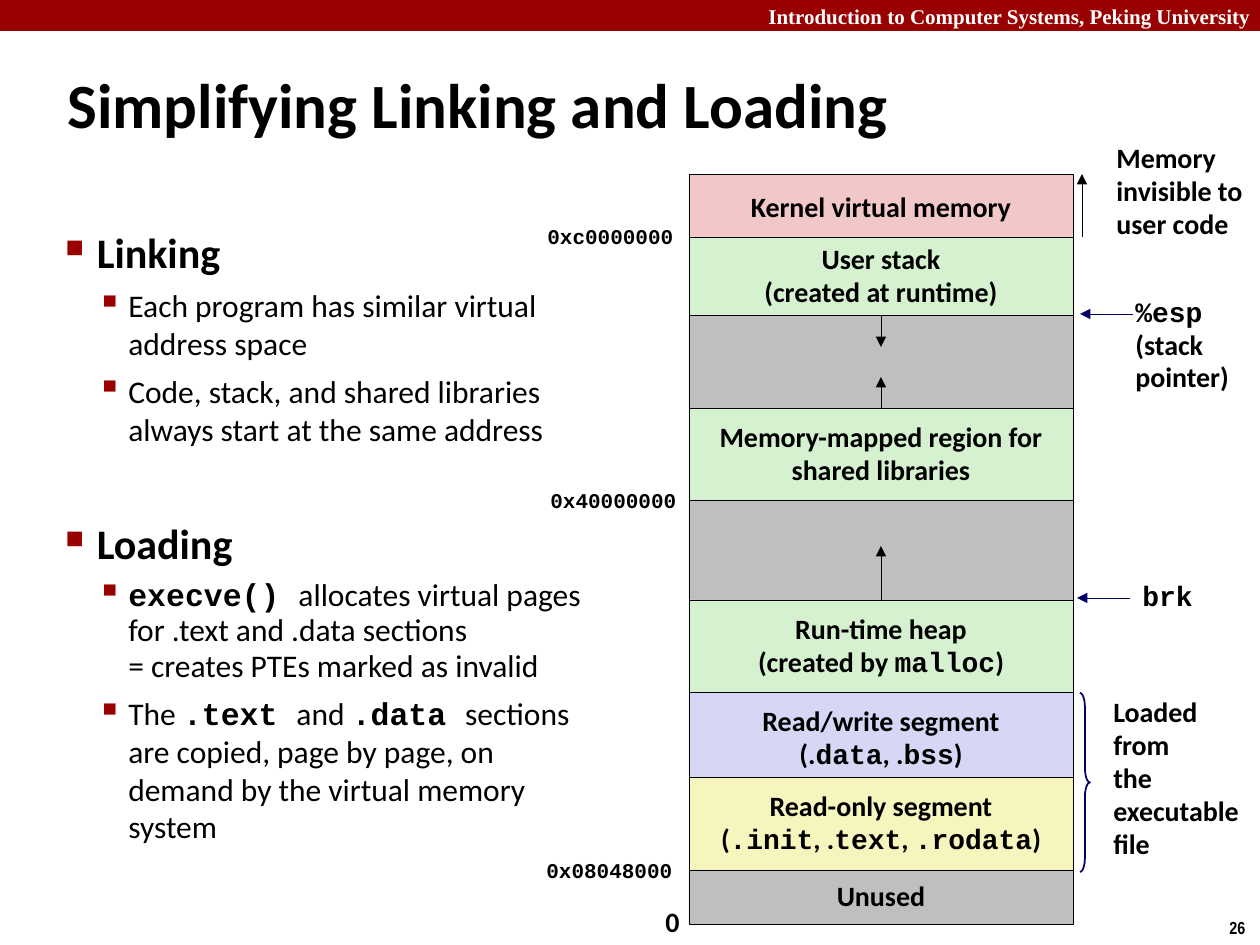
"""Build the slide on simplified linking and loading with a process memory map."""
from dataclasses import dataclass

from lxml import etree
from pptx import Presentation
from pptx.dml.color import RGBColor
from pptx.enum.shapes import MSO_CONNECTOR, MSO_SHAPE
from pptx.enum.text import MSO_ANCHOR, MSO_AUTO_SIZE, PP_ALIGN
from pptx.oxml.ns import qn
from pptx.util import Emu, Pt

RECT, BRACE = MSO_SHAPE.RECTANGLE, MSO_SHAPE.RIGHT_BRACE
STRAIGHT = MSO_CONNECTOR.STRAIGHT
TOP, MIDDLE = MSO_ANCHOR.TOP, MSO_ANCHOR.MIDDLE
LEFT, CENTER = PP_ALIGN.LEFT, PP_ALIGN.CENTER
FIT = MSO_AUTO_SIZE.SHAPE_TO_FIT_TEXT
SIDE_TOP, SIDE_BOTTOM = 0, 2
PX = 914400 // 126


@dataclass(frozen=True)
class Theme:
    """Colours, fonts and type sizes."""
    black: str = "000000"
    white: str = "FFFFFF"
    red: str = "990000"
    navy: str = "000066"
    pink: str = "F1C7C7"
    green: str = "D5F1CF"
    grey: str = "BFBFBF"
    blue: str = "D6D6F5"
    yellow: str = "F6F5BD"
    sans: str = "Calibri"
    mono: str = "Courier New"
    serif: str = "Times New Roman"
    narrow: str = "Arial Narrow"
    title: int = 36
    heading: int = 24
    body: int = 18
    label: int = 16
    small: int = 12
    number: int = 10
    tight: float = 0.98
    mono_tight: float = 0.94


T = Theme()

HEADER = "Introduction to Computer Systems, Peking University"
TITLE = "Simplifying Linking and Loading"
BODY = [
    (0, 0, "Linking"),
    (1, 5.6, "Each program has similar virtual address space"),
    (1, 5.6, "Code, stack, and shared libraries always start at the same address"),
    (0, 40, "Loading"),
    (1, 5.6, "`execve() `allocates virtual pages for .text and .data sections"
             "\v= creates PTEs marked as invalid"),
    (1, 5.6, "The `.text `and `.data `sections are copied, page by page, "
             "on demand by the virtual memory system"),
]
BULLETS = [("■", 60), ("▪", 110)]

MAP_LEFT, MAP_WIDTH = 689, 384
REGIONS = [
    ("kernel", 174, 67, T.pink, ["Kernel virtual memory"]),
    ("stack", 237, 78, T.green, ["User stack", "(created at runtime)"]),
    ("stack gap", 315, 93, T.grey, []),
    ("shared", 408, 92, T.green, ["Memory-mapped region for", "shared libraries"]),
    ("heap gap", 500, 100, T.grey, []),
    ("heap", 600, 92, T.green, ["Run-time heap", "(created by `malloc`)"]),
    ("data", 692, 92, T.blue, ["Read/write segment", "(.`data`, .`bss`)"]),
    ("code", 777, 93, T.yellow,
     ["Read-only segment", "(`.init`, .`text`, `.rodata`)"]),
    ("unused", 870, 54, T.grey, ["Unused"]),
]
GROWTH = [("stack", SIDE_BOTTOM, 32), ("shared", SIDE_TOP, -31), ("heap", SIDE_TOP, -54)]
POINTERS = [
    (1082, 237, 1082, 174, T.black),
    (1133, 314, 1080, 314, T.navy),
    (1130, 598, 1077, 598, T.navy),
]
LABELS = [
    (653, 900, 39, 47, T.label, ["0"]),
    (1123, 291, 120, 111, T.label, ["`%esp`", "(stack", "pointer)"]),
    (1104, 136, 159, 112, T.label, ["Memory", "invisible to", "user code"]),
    (1130, 575, 76, 45, T.label, ["`brk`"]),
    (1101, 690, 152, 179, T.label, ["Loaded", "from", "the", "executable", "file"]),
    (535, 219, 154, 37, T.small, ["`0xc0000000`"]),
    (538, 483, 154, 37, T.small, ["`0x40000000`"]),
    (534, 853, 154, 37, T.small, ["`0x08048000`"]),
]


def px(*values):
    return [Emu(v * PX) for v in values]


def rgb(color):
    return RGBColor.from_string(color)


def write(p, text, size=T.label, font=T.sans, color=T.black, bold=True,
          align=LEFT, spacing=1.0, before=0):
    """Fill a paragraph; parts between backticks are bold monospace."""
    p.alignment = align
    p.line_spacing = T.mono_tight if text.startswith("`") else spacing
    p.space_before = Pt(before)
    for i, part in enumerate(text.split("`")):
        mono = i % 2 == 1
        for j, piece in enumerate(part.split("\v")):
            if j:
                p.add_line_break()
            if piece:
                r = p.add_run()
                r.text = piece
                r.font.name = T.mono if mono else font
                r.font.size = Pt(size)
                r.font.bold = mono or bold
                r.font.color.rgb = rgb(color)


def write_lines(tf, lines, **fmt):
    for i, line in enumerate(lines):
        write(tf.add_paragraph() if i else tf.paragraphs[0], line, **fmt)


def add_box(s, box, wrap=True, anchor=TOP):
    sp = s.shapes.add_textbox(*px(*box))
    tf = sp.text_frame
    tf.word_wrap = wrap
    tf.auto_size = MSO_AUTO_SIZE.NONE if wrap else FIT
    tf.vertical_anchor = anchor
    return tf


def add_shape(s, kind, box, fill=None, line=None, width=0.25):
    sp = s.shapes.add_shape(kind, *px(*box))
    sp.shadow.inherit = False
    if fill:
        sp.fill.solid()
        sp.fill.fore_color.rgb = rgb(fill)
    else:
        sp.fill.background()
    if line:
        sp.line.color.rgb = rgb(line)
        sp.line.width = Pt(width)
    else:
        sp.line.fill.background()
    return sp


def add_arrow(s, x1, y1, x2, y2, color=T.black):
    cx = s.shapes.add_connector(STRAIGHT, *px(x1, y1, x2, y2))
    cx.line.color.rgb = rgb(color)
    cx.line.width = Pt(0.25)
    etree.SubElement(cx.line._get_or_add_ln(), qn("a:tailEnd"), type="triangle")
    etree.SubElement(cx._element.spPr, qn("a:effectLst"))
    return cx


def add_bullet(p, level):
    char, percent = BULLETS[level]
    pPr = p._p.get_or_add_pPr()
    pPr.set("marL", str(228600 * (level + 1)))
    pPr.set("indent", "-228600")
    clr = etree.SubElement(pPr, qn("a:buClr"))
    etree.SubElement(clr, qn("a:srgbClr"), val=T.red)
    etree.SubElement(pPr, qn("a:buSzPct"), val=str(percent * 1000))
    etree.SubElement(pPr, qn("a:buChar"), char=char)


def add_body(s):
    tf = add_box(s, (53, 220, 546, 659))
    for i, (level, before, text) in enumerate(BODY):
        p = tf.add_paragraph() if i else tf.paragraphs[0]
        p.level = level
        add_bullet(p, level)
        write(p, text, size=T.body if level else T.heading,
              bold=not level, before=before)


def add_memory_map(s):
    regions = {}
    for name, top, height, fill, lines in REGIONS:
        sp = add_shape(s, RECT, (MAP_LEFT, top, MAP_WIDTH, height), fill, T.black)
        sp.text_frame.word_wrap = False
        sp.text_frame.vertical_anchor = MIDDLE
        write_lines(sp.text_frame, lines, align=CENTER, spacing=T.tight)
        regions[name] = sp, {SIDE_TOP: top, SIDE_BOTTOM: top + height}
    x = MAP_LEFT + MAP_WIDTH // 2
    for name, side, length in GROWTH:
        sp, edges = regions[name]
        cx = add_arrow(s, x, edges[side], x, edges[side] + length)
        cx.begin_connect(sp, side)
    for pointer in POINTERS:
        add_arrow(s, *pointer)
    brace = add_shape(s, BRACE, (1080, 693, 10, 179), line=T.navy, width=1)
    brace.adjustments[0] = 1.42
    for *box, size, lines in LABELS:
        write_lines(add_box(s, box, wrap=False), lines, size=size, spacing=T.tight)


def main():
    prs = Presentation()
    prs.slide_width, prs.slide_height = px(1260, 945)
    s = prs.slides.add_slide(prs.slide_layouts[6])
    add_shape(s, RECT, (0, 0, 1260, 31), T.red)
    write_lines(add_box(s, (756, -3, 513, 38)), [HEADER],
                size=T.small, font=T.serif, color=T.white)
    write_lines(add_box(s, (1217, 911, 43, 34), wrap=False), ["26"],
                size=T.number, font=T.narrow)
    write_lines(add_box(s, (55, 49, 1142, 108), anchor=MIDDLE), [TITLE], size=T.title)
    add_body(s)
    add_memory_map(s)
    prs.save("out.pptx")


if __name__ == "__main__":
    main()
